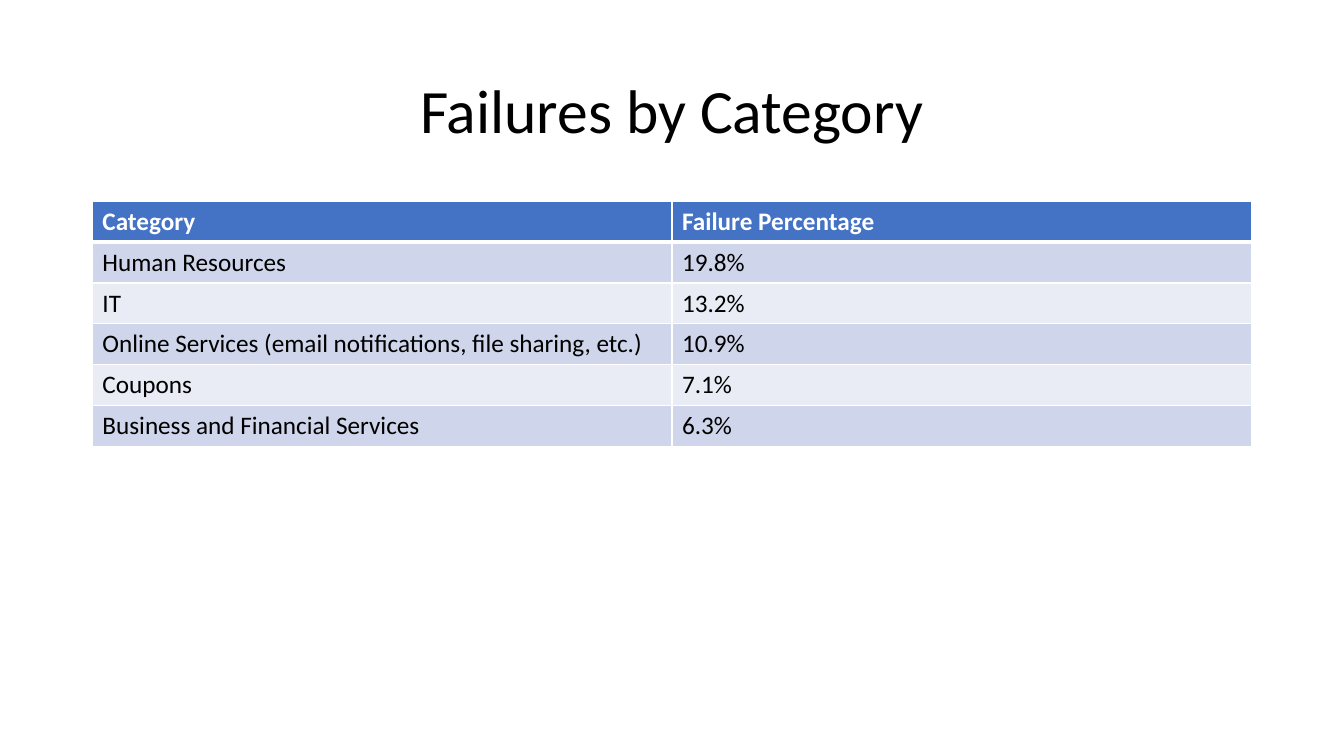
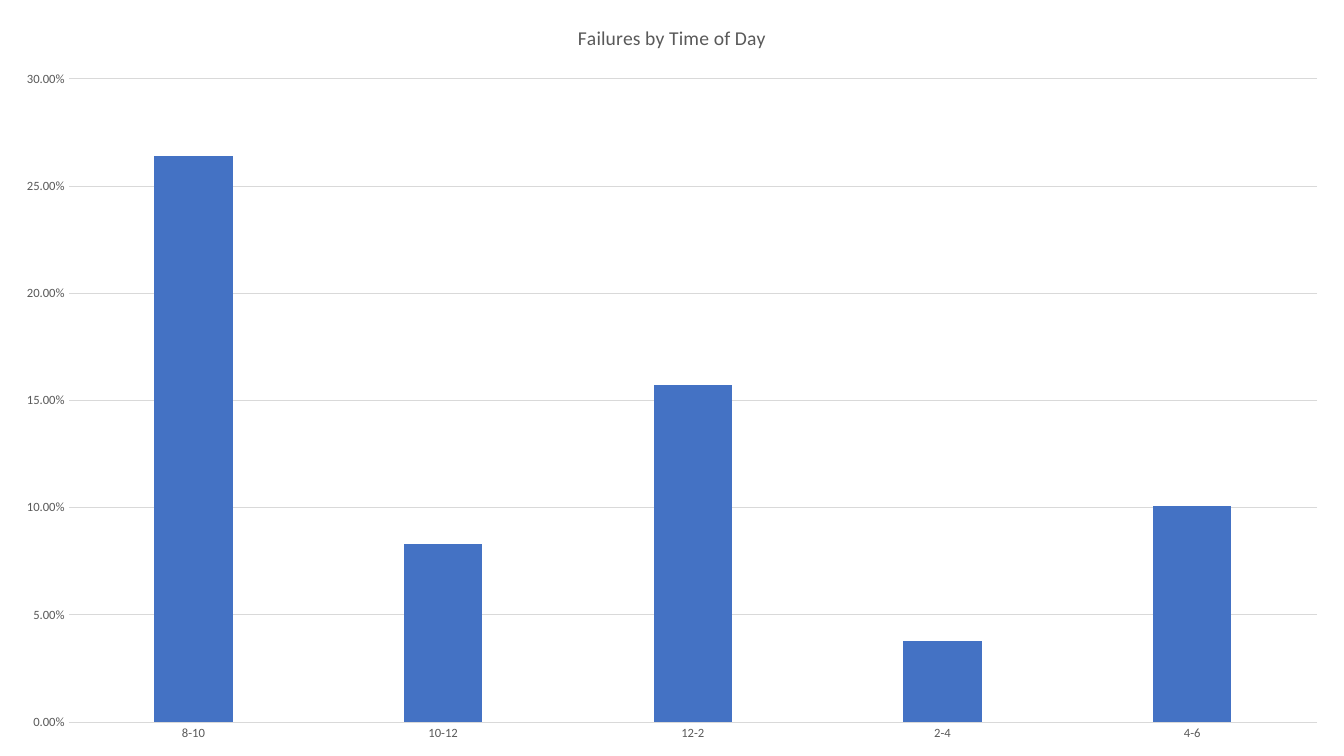
from pptx import Presentation
from pptx.chart import data
from pptx.dml import color
from pptx.enum import chart as kinds, text
from pptx.oxml import ns, parse_xml
from pptx.util import Pt

RGB = color.RGBColor
BLACK = RGB(0x00, 0x00, 0x00)
WHITE = RGB(0xFF, 0xFF, 0xFF)
BLUE = RGB(0x44, 0x72, 0xC4)
BANDS = (RGB(0xCF, 0xD5, 0xEA), RGB(0xE9, 0xEB, 0xF5))
GRAY = RGB(0x59, 0x59, 0x59)
RULE = RGB(0xD9, 0xD9, 0xD9)
WIDE, HIGH = Pt(960), Pt(540)
LEFT, SPAN = Pt(66), Pt(828)


class Deck:
    face = "Calibri"

    def __init__(self):
        self.show = Presentation()
        self.show.slide_width, self.show.slide_height = WIDE, HIGH
        self.slide = None

    def page(self, layout):
        self.slide = self.show.slides.add_slide(self.show.slide_layouts[layout])

    def style(self, font, size, tint, bold=False):
        looks = {"name": self.face, "size": Pt(size), "bold": bold}
        for key, value in looks.items():
            setattr(font, key, value)
        font.color.rgb = tint

    def title(self, words):
        box = self.slide.shapes.title
        place = {"left": LEFT, "top": Pt(28.75), "width": SPAN, "height": Pt(104.38)}
        for key, value in place.items():
            setattr(box, key, value)
        frame = box.text_frame
        frame.text = words
        frame.vertical_anchor = text.MSO_ANCHOR.MIDDLE
        line = frame.paragraphs[0]
        line.alignment = text.PP_ALIGN.CENTER
        line.line_spacing = 0.9
        self.style(line.runs[0].font, 44, BLACK)

    def edge(self, cell, base):
        sides = {"L": 1, "R": 1, "T": 1, "B": base}
        props = cell._tc.get_or_add_tcPr()
        for spot, (side, width) in enumerate(sides.items()):
            props.insert(spot, parse_xml(
                f'<a:ln{side} {ns.nsdecls("a")} w="{Pt(width)}"><a:solidFill>'
                f'<a:srgbClr val="{WHITE}"/></a:solidFill></a:ln{side}>'))

    def table(self, rows, top, step):
        count = len(rows[0])
        grid = self.slide.shapes.add_table(
            len(rows), count, LEFT, top, SPAN, step * len(rows)).table
        for row, words in enumerate(rows):
            head = row == 0
            for col, word in enumerate(words):
                cell = grid.cell(row, col)
                cell.text = word
                cell.fill.solid()
                cell.fill.fore_color.rgb = BLUE if head else BANDS[(row - 1) % 2]
                self.edge(cell, 3 if head else 1)
                font = cell.text_frame.paragraphs[0].runs[0].font
                self.style(font, 18, WHITE if head else BLACK, head)

    def rule(self, line):
        line.color.rgb = RULE
        line.width = Pt(0.75)

    def chart(self, words, names, values):
        source = data.CategoryChartData(number_format="0.00%")
        source.categories = names
        source.add_series("Series 1", values)
        chart = self.slide.shapes.add_chart(
            kinds.XL_CHART_TYPE.COLUMN_CLUSTERED, 0, 0, WIDE, HIGH, source).chart
        self.style(chart.font, 10, BLACK)
        chart.has_legend = False
        chart.has_title = True
        frame = chart.chart_title.text_frame
        frame.text = words
        self.style(frame.paragraphs[0].runs[0].font, 14, GRAY)
        plot = chart.plots[0]
        for key, value in {"gap_width": 219, "overlap": -27,
                           "vary_by_categories": False}.items():
            setattr(plot, key, value)
        fill = plot.series[0].format.fill
        fill.solid()
        fill.fore_color.rgb = BLUE
        for axis in (chart.category_axis, chart.value_axis):
            axis.major_tick_mark = axis.minor_tick_mark = kinds.XL_TICK_MARK.NONE
            self.style(axis.tick_labels.font, 9, GRAY)
        self.rule(chart.category_axis.format.line)
        scale = chart.value_axis
        scale.format.line.fill.background()
        scale.has_major_gridlines = True
        self.rule(scale.major_gridlines.format.line)
        for key, value in {"minimum_scale": 0, "maximum_scale": 0.3,
                           "major_unit": 0.05}.items():
            setattr(scale, key, value)
        scale.tick_labels.number_format = "0.00%"
        scale.tick_labels.number_format_is_linked = False


def main():
    deck = Deck()
    deck.page(5)
    deck.title("Failures by Category")
    deck.table([
        ("Category", "Failure Percentage"),
        ("Human Resources", "19.8%"),
        ("IT", "13.2%"),
        ("Online Services (email notifications, file sharing, etc.)", "10.9%"),
        ("Coupons", "7.1%"),
        ("Business and Financial Services", "6.3%"),
    ], Pt(143.75), Pt(29.2))
    deck.page(6)
    deck.chart("Failures by Time of Day",
               ("8-10", "10-12", "12-2", "2-4", "4-6"),
               (0.264, 0.083, 0.157, 0.038, 0.101))
    deck.show.save("out.pptx")


if __name__ == "__main__":
    main()
